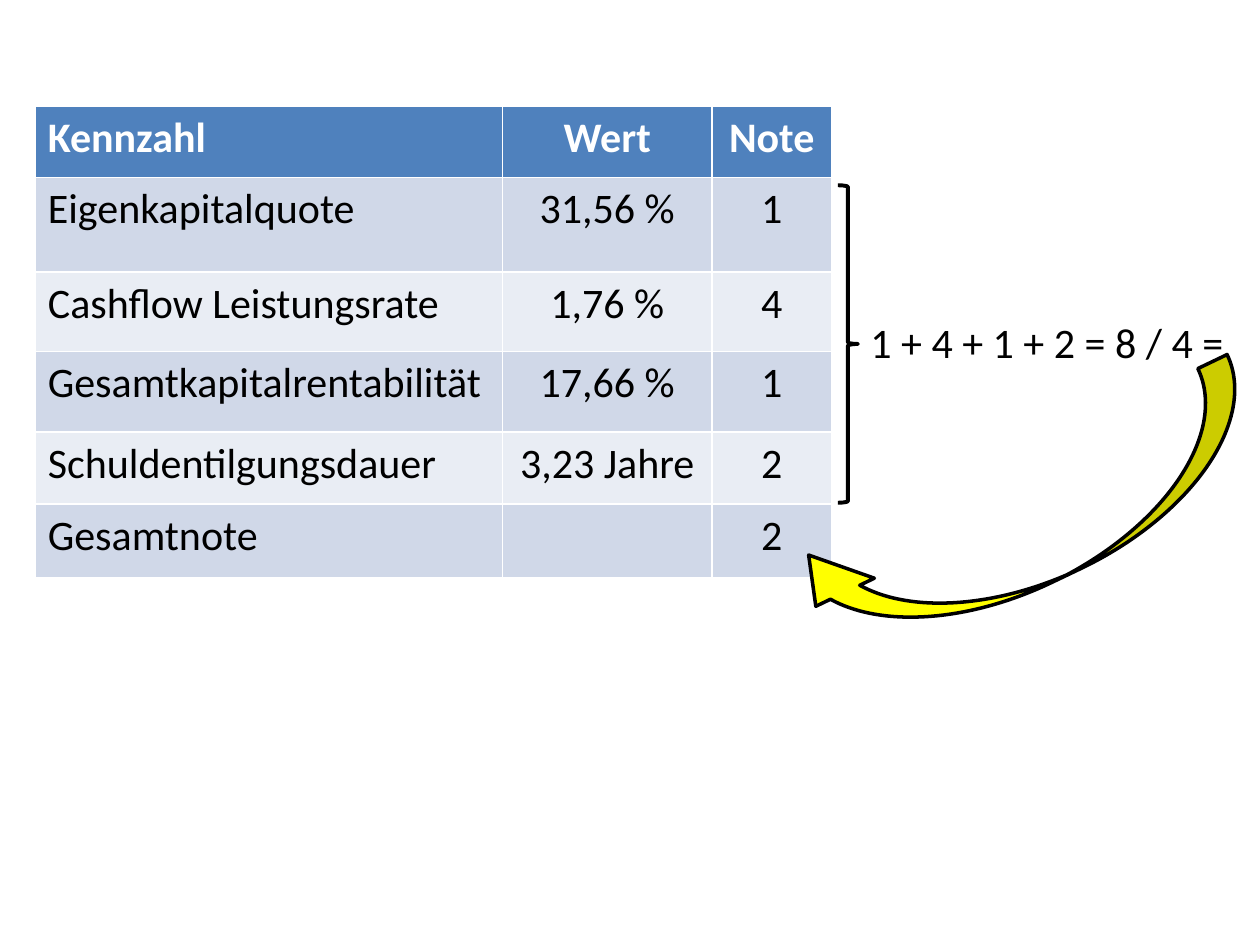
from pptx import Presentation
from pptx.dml.color import RGBColor
from pptx.enum import shapes, text
from pptx.util import Inches, Pt

BLACK = RGBColor(0x00, 0x00, 0x00)
WHITE = RGBColor(0xFF, 0xFF, 0xFF)
YELLOW = RGBColor(0xFF, 0xFF, 0x00)
HEADER_BLUE = RGBColor(0x4F, 0x81, 0xBD)
BANDS = (RGBColor(0xE9, 0xED, 0xF4), RGBColor(0xD0, 0xD8, 0xE8))

COLUMN_WIDTHS = (3.71, 1.66, 0.95)
ROW_HEIGHTS = (0.57, 0.75, 0.63, 0.64, 0.57, 0.59)
RATINGS = (
    ("Kennzahl", "Wert", "Note"),
    ("Eigenkapitalquote", "31,56 %", "1"),
    ("Cashflow Leistungsrate", "1,76 %", "4"),
    ("Gesamtkapitalrentabilität", "17,66 %", "1"),
    ("Schuldentilgungsdauer", "3,23 Jahre", "2"),
    ("Gesamtnote", "", "2"),
)


def style_paragraph(para, color, bold=False):
    """Apply the common font to a paragraph."""
    para.font.name = "Calibri"
    para.font.size = Pt(24)
    para.font.bold = bold
    para.font.color.rgb = color


def add_ratings(page, left, top):
    """Add the table of ratios; the default table style draws white borders."""
    frame = page.shapes.add_table(
        len(RATINGS), len(COLUMN_WIDTHS), Inches(left), Inches(top),
        Inches(sum(COLUMN_WIDTHS)), Inches(sum(ROW_HEIGHTS)))
    table = frame.table
    for column, width in zip(table.columns, COLUMN_WIDTHS):
        column.width = Inches(width)
    for row, height in zip(table.rows, ROW_HEIGHTS):
        row.height = Inches(height)
    for i, values in enumerate(RATINGS):
        header = i == 0
        for j, value in enumerate(values):
            cell = table.cell(i, j)
            cell.text = value
            cell.fill.solid()
            cell.fill.fore_color.rgb = HEADER_BLUE if header else BANDS[i % 2]
            para = cell.text_frame.paragraphs[0]
            style_paragraph(para, WHITE if header else BLACK, header)
            if j > 0:
                para.alignment = text.PP_ALIGN.CENTER


def add_outlined(page, kind, left, top, width, height, line_width, fill=None):
    """Add a black-outlined preset shape, filled only if a colour is given."""
    shape = page.shapes.add_shape(
        kind, Inches(left), Inches(top), Inches(width), Inches(height))
    shape.shadow.inherit = False
    shape.line.color.rgb = BLACK
    shape.line.width = Pt(line_width)
    if fill is None:
        shape.fill.background()
    else:
        shape.fill.solid()
        shape.fill.fore_color.rgb = fill
    return shape


def add_formula(page, words, left, top, width, height):
    """Add a one-line text box."""
    box = page.shapes.add_textbox(
        Inches(left), Inches(top), Inches(width), Inches(height))
    box.text_frame.word_wrap = True
    box.text_frame.auto_size = text.MSO_AUTO_SIZE.SHAPE_TO_FIT_TEXT
    para = box.text_frame.paragraphs[0]
    para.text = words
    style_paragraph(para, BLACK)


def main():
    """Build the slide and save it."""
    deck = Presentation()
    deck.slide_width, deck.slide_height = Inches(10), Inches(7.5)
    page = deck.slides.add_slide(deck.slide_layouts[6])
    kinds = shapes.MSO_SHAPE
    add_ratings(page, 0.28, 0.84)
    add_outlined(page, kinds.RIGHT_BRACE, 6.65, 1.47, 0.16, 2.52, 2.25)
    add_formula(page, "1 + 4 + 1 + 2 = 8 / 4 =", 6.81, 2.46, 3.03, 0.5)
    arrow = add_outlined(page, kinds.CURVED_LEFT_ARROW,
                         7.67, 2.16, 1.03, 3.94, 2, YELLOW)
    arrow.rotation = 64.4
    arrow.adjustments[2] = 0.38
    deck.save("out.pptx")


main()
